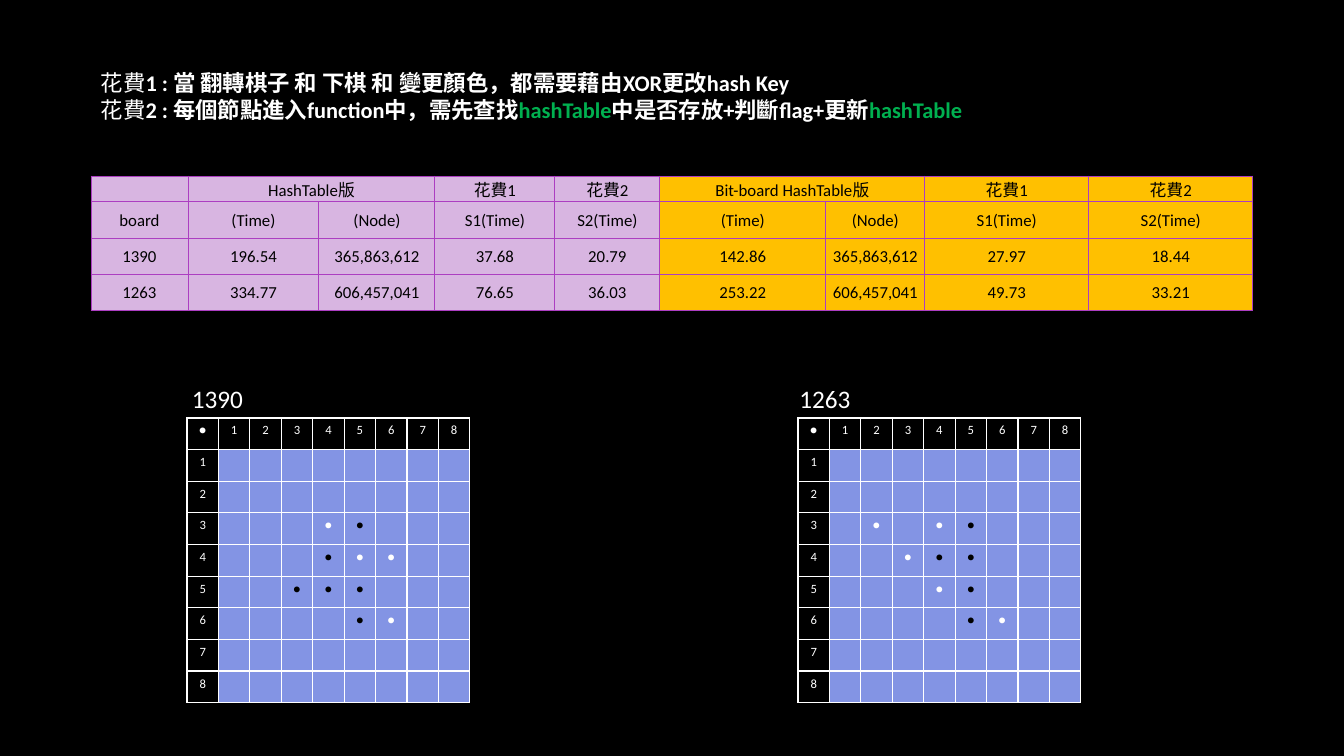
from dataclasses import dataclass

from lxml.etree import SubElement
from pptx import Presentation
from pptx.dml.color import RGBColor
from pptx.enum.text import MSO_ANCHOR, MSO_AUTO_SIZE, PP_ALIGN
from pptx.oxml.ns import qn
from pptx.util import Emu, Pt

EMU_PER_PX = 914400 / 100.8


def px(n):
    return Emu(round(n * EMU_PER_PX))


@dataclass(frozen=True)
class Theme:
    font: str = "Calibri"
    background: str = "000000"
    light: str = "FFFFFF"
    dark: str = "000000"
    accent: str = "00B050"
    hash_fill: str = "D8B5E1"
    bit_fill: str = "FFC000"
    result_line: str = "AC3EC1"
    board_fill: str = "8394E4"
    heading: int = 16
    label: int = 18
    result: int = 12
    board: int = 9


class SlideBuilder:
    def __init__(self, prs, theme):
        self.theme = theme
        self.s = prs.slides.add_slide(prs.slide_layouts[6])
        fill = self.s.background.fill
        fill.solid()
        fill.fore_color.rgb = RGBColor.from_string(theme.background)

    def run(self, p, text, size, color, bold=False):
        r = p.add_run()
        r.text = text
        r.font.name = self.theme.font
        r.font.size = Pt(size)
        r.font.bold = bold
        r.font.color.rgb = RGBColor.from_string(color)

    def text(self, x, y, w, h, lines, size, align=PP_ALIGN.LEFT):
        """Each line is a list of (text, color, bold) runs."""
        tf = self.s.shapes.add_textbox(px(x), px(y), px(w), px(h)).text_frame
        tf.word_wrap = True
        tf.auto_size = MSO_AUTO_SIZE.SHAPE_TO_FIT_TEXT
        for i, line in enumerate(lines):
            p = tf.paragraphs[0] if i == 0 else tf.add_paragraph()
            p.alignment = align
            for text, color, bold in line:
                self.run(p, text, size, color, bold)

    def table(self, x, y, widths, heights):
        table = self.s.shapes.add_table(
            len(heights), len(widths), px(x), px(y),
            px(sum(widths)), px(sum(heights))).table
        table.first_row = table.horz_banding = False
        for column, w in zip(table.columns, widths):
            column.width = px(w)
        for row, h in zip(table.rows, heights):
            row.height = px(h)
        return table

    def cell(self, cell, text, size, color, fill, line, line_width):
        tcPr = cell._tc.get_or_add_tcPr()
        for side in ("lnL", "lnR", "lnT", "lnB"):
            ln = SubElement(tcPr, qn(f"a:{side}"), w=str(Pt(line_width)))
            solid = SubElement(ln, qn("a:solidFill"))
            SubElement(solid, qn("a:srgbClr"), val=line)
        if fill:
            cell.fill.solid()
            cell.fill.fore_color.rgb = RGBColor.from_string(fill)
        else:
            cell.fill.background()
        p = cell.text_frame.paragraphs[0]
        p.alignment = PP_ALIGN.CENTER
        if text:
            self.run(p, text, size, color)
        else:  # keeps an empty cell from growing its row
            SubElement(p._p, qn("a:endParaRPr"), sz=str(size * 100))

    def results(self, x, y, widths, heights, rows, merges, bit_start):
        t = self.theme
        table = self.table(x, y, widths, heights)
        for i, row in enumerate(rows):
            for j, text in enumerate(row):
                cell = table.cell(i, j)
                fill = t.bit_fill if j >= bit_start else t.hash_fill
                self.cell(cell, text, t.result, t.dark, fill, t.result_line, 0.75)
                cell.vertical_anchor = MSO_ANCHOR.MIDDLE
                cell.margin_left = cell.margin_right = cell.margin_top = px(1)
                cell.margin_bottom = 0
        for j in merges:
            table.cell(0, j).merge(table.cell(0, j + 1))

    def board(self, x, y, w, h, white, black):
        """Draw an 8 by 8 board; pieces are (row, column) pairs."""
        t = self.theme
        table = self.table(x, y, [w / 9] * 9, [h / 9] * 9)
        for i in range(9):
            for j in range(9):
                inside = i > 0 and j > 0
                if inside:
                    text = "●" if (i, j) in white | black else ""
                else:
                    text = str(i + j) if i + j else "●"
                cell = table.cell(i, j)
                self.cell(cell, text, t.board,
                          t.dark if (i, j) in black else t.light,
                          t.board_fill if inside else None, t.light, 1)
                cell.margin_left = cell.margin_right = 0


def main():
    prs = Presentation()
    prs.slide_width, prs.slide_height = px(1344), px(756)
    t = Theme()
    b = SlideBuilder(prs, t)

    # Timing results
    measures = ["(Time)", "(Node)", "S1(Time)", "S2(Time)"]
    rows = [
        ["", "HashTable版", "", "花費1", "花費2",
         "Bit-board HashTable版", "", "花費1", "花費2"],
        ["board", *measures, *measures],
        ["1390", "196.54", "365,863,612", "37.68", "20.79",
         "142.86", "365,863,612", "27.97", "18.44"],
        ["1263", "334.77", "606,457,041", "76.65", "36.03",
         "253.22", "606,457,041", "49.73", "33.21"],
    ]
    b.results(91, 176, [97, 131, 116, 120, 105, 166, 99, 164, 164],
              [20, 37, 36, 36], rows, merges=(1, 5), bit_start=5)

    # Explanation of both costs
    b.text(91, 64, 1128, 64, [
        [("花費", t.light, False),
         ("1 : 當 翻轉棋子 和 下棋 和 變更顏色，都需要藉由XOR更改hash Key", t.light, True)],
        [("花費", t.light, False),
         ("2 : 每個節點進入function中，需先查找", t.light, True),
         ("hashTable", t.accent, True),
         ("中是否存放+判斷flag+更新", t.light, True),
         ("hashTable", t.accent, True)],
    ], t.heading)

    # Test boards: name, board left, label left, label width, pieces
    boards = [
        ("1263", 798, 777, 96,
         {(3, 2), (3, 4), (4, 3), (5, 4), (6, 6)},
         {(3, 5), (4, 4), (4, 5), (5, 5), (6, 5)}),
        ("1390", 187, 174, 87,
         {(3, 4), (4, 5), (4, 6), (6, 6)},
         {(3, 5), (4, 4), (5, 3), (5, 4), (5, 5), (6, 5)}),
    ]
    for name, x, label_x, label_w, white, black in boards:
        b.board(x, 418, 283, 285, white, black)
        b.text(label_x, 378, label_w, 40, [[(name, t.light, False)]],
               t.label, PP_ALIGN.CENTER)

    prs.save("out.pptx")


if __name__ == "__main__":
    main()
